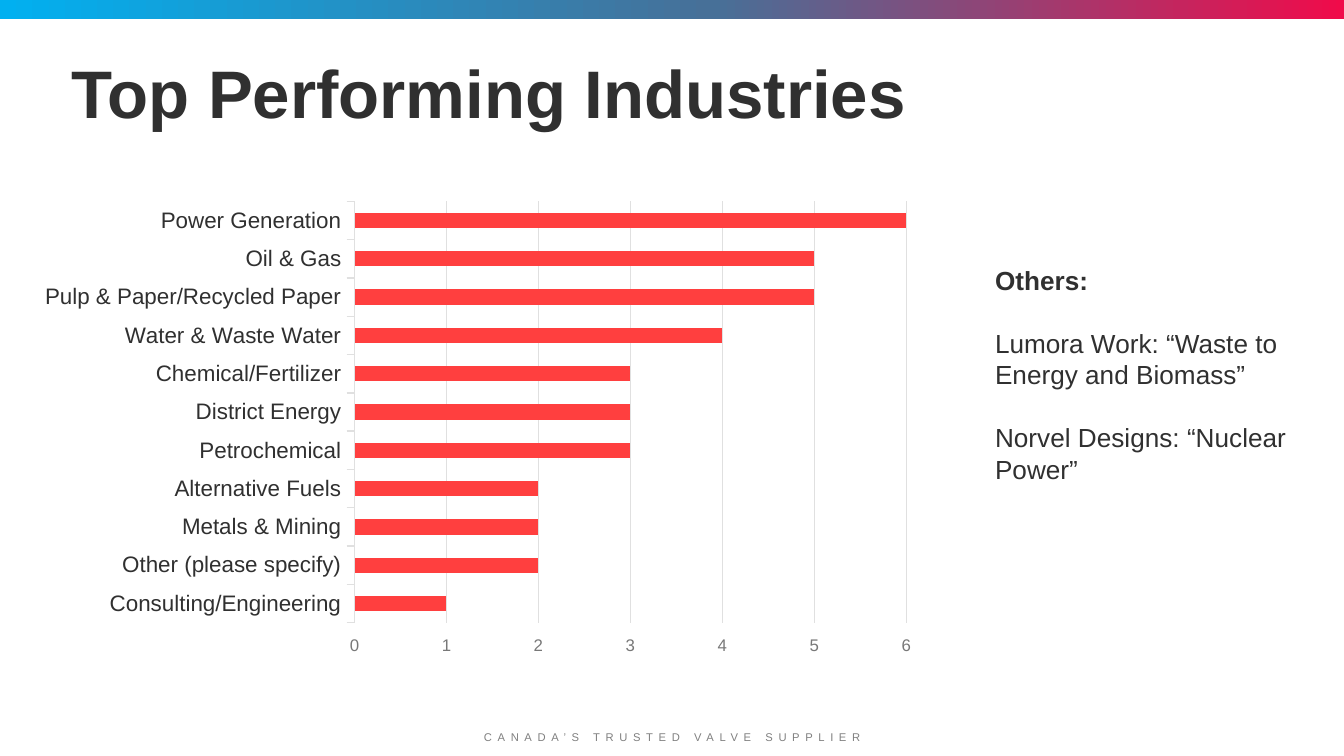
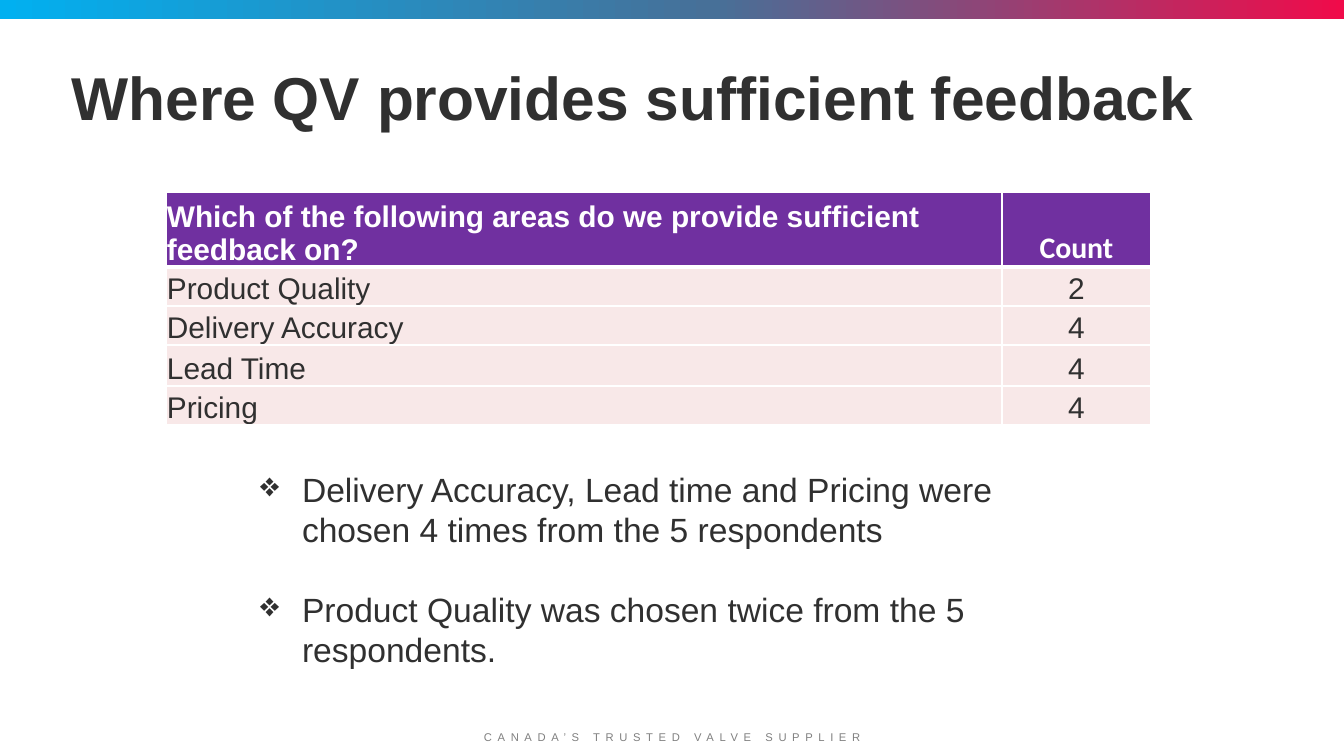
from dataclasses import dataclass

from lxml.etree import SubElement, Element
from pptx import Presentation
from pptx.chart.data import CategoryChartData
from pptx.dml.color import RGBColor
from pptx.enum.chart import XL_CHART_TYPE as ChartType, XL_TICK_MARK as TickMark
from pptx.enum.shapes import MSO_SHAPE as Preset
from pptx.enum.text import MSO_ANCHOR as Anchor, MSO_AUTO_SIZE as AutoSize, PP_ALIGN as Align
from pptx.oxml.ns import qn
from pptx.util import Emu, Pt


@dataclass(frozen=True)
class Theme:
    font: str = "Arial"
    count_font: str = "Calibri"
    ink: str = "303030"
    muted: str = "787878"
    footer_ink: str = "808080"
    white: str = "FFFFFF"
    grid: str = "E0E0E0"
    bar: str = "FF3F3F"
    header: str = "7030A0"
    row: str = "F8E8E8"
    band: tuple = ((0, "01B0F0"), (53, "477098"), (100, "F00B4A"))
    footer_size: float = 6
    axis_size: float = 9
    chart_size: float = 10
    category_size: float = 12
    note_size: float = 14
    table_size: float = 16
    bullet_size: float = 18
    title_size: float = 36
    long_title_size: float = 32.4


THEME = Theme()
EMU_PER_PX = 914400 / 134.4
WIDTH, HEIGHT = 1344, 756
FOOTER = "CANADA’S TRUSTED VALVE SUPPLIER"

INDUSTRIES = {
    "Consulting/Engineering": 1,
    "Other (please specify)": 2,
    "Metals & Mining": 2,
    "Alternative Fuels": 2,
    "Petrochemical": 3,
    "District Energy": 3,
    "Chemical/Fertilizer": 3,
    "Water & Waste Water": 4,
    "Pulp & Paper/Recycled Paper": 5,
    "Oil & Gas": 5,
    "Power Generation": 6,
}
FEEDBACK = [
    ("Which of the following areas do we provide sufficient feedback on?", "Count"),
    ("Product Quality", "2"),
    ("Delivery Accuracy", "4"),
    ("Lead Time", "4"),
    ("Pricing", "4"),
]


def px(length):
    return Emu(round(length * EMU_PER_PX))


def box(*lengths):
    return [px(length) for length in lengths]


def style_font(font, size, color=THEME.ink, bold=False, name=THEME.font):
    font.size, font.bold, font.name = Pt(size), bold, name
    font.color.rgb = RGBColor.from_string(color)


def style_line(line, color=THEME.grid, width=0.75):
    line.color.rgb = RGBColor.from_string(color)
    line.width = Pt(width)


# Shared slide parts
def add_band(slide):
    band = slide.shapes.add_shape(Preset.RECTANGLE, *box(0, 0, WIDTH, 19))
    band.shadow.inherit = False
    band.line.fill.background()
    band.fill.gradient()
    band.fill.gradient_angle = 0
    stops = next(band.element.iter(qn("a:gsLst")))
    for stop in list(stops):
        stops.remove(stop)
    for position, color in THEME.band:
        stop = SubElement(stops, qn("a:gs"), pos=str(position * 1000))
        SubElement(stop, qn("a:srgbClr"), val=color)


def add_text(slide, area, paragraphs, size, gap=0, insets=(13, 7, 13, 7), color=THEME.ink):
    """Add a text box; paragraphs are (text, bold) pairs."""
    shape = slide.shapes.add_textbox(*box(*area))
    frame = shape.text_frame
    frame.word_wrap = True
    frame.margin_left, frame.margin_top, frame.margin_right, frame.margin_bottom = box(*insets)
    for index, (text, bold) in enumerate(paragraphs):
        paragraph = frame.add_paragraph() if index else frame.paragraphs[0]
        paragraph.text = text
        if index:
            paragraph.space_before = Pt(gap)
        style_font(paragraph.font, size, color, bold)
    return shape


def add_footer(slide):
    footer = add_text(slide, (0, 722, WIDTH, 31), [(FOOTER, False)], THEME.footer_size,
                      insets=(13, 7, 13, 11), color=THEME.footer_ink)
    footer.text_frame.vertical_anchor = Anchor.BOTTOM
    footer.text_frame.paragraphs[0].alignment = Align.CENTER
    next(footer.element.iter(qn("a:defRPr"))).set("spc", "300")


def add_slide(presentation, title_text, title_size):
    slide = presentation.slides.add_slide(presentation.slide_layouts[5])
    add_footer(slide)
    add_band(slide)
    title = slide.shapes.title
    title.left, title.top, title.width, title.height = box(58, 40, 1216, 100)
    frame = title.text_frame
    frame.text = title_text
    frame.word_wrap = True
    frame.auto_size = AutoSize.NONE
    frame.vertical_anchor = Anchor.BOTTOM
    paragraph = frame.paragraphs[0]
    paragraph.alignment = Align.LEFT
    paragraph.line_spacing = 0.9
    style_font(paragraph.font, title_size, bold=True)
    return slide


# Content elements
def add_bar_chart(slide, area, values):
    data = CategoryChartData()
    data.categories = list(values)
    data.add_series("Series 1", list(values.values()))
    chart = slide.shapes.add_chart(ChartType.BAR_CLUSTERED, *box(*area), data).chart
    chart.has_legend = chart.has_title = False
    style_font(chart.font, THEME.chart_size)

    plot = chart.plots[0]
    plot.gap_width = 150
    plot.vary_by_categories = False
    fill = plot.series[0].format.fill
    fill.solid()
    fill.fore_color.rgb = RGBColor.from_string(THEME.bar)

    category_axis, value_axis = chart.category_axis, chart.value_axis
    for axis in (category_axis, value_axis):
        axis.major_tick_mark = TickMark.OUTSIDE
        axis.minor_tick_mark = TickMark.NONE
    style_font(category_axis.tick_labels.font, THEME.category_size)
    style_line(category_axis.format.line)
    style_font(value_axis.tick_labels.font, THEME.axis_size, THEME.muted)
    value_axis.format.line.fill.background()
    value_axis.minimum_scale, value_axis.maximum_scale = 0, max(values.values())
    value_axis.major_unit = 1
    value_axis.has_major_gridlines = True
    style_line(value_axis.major_gridlines.format.line)


def set_borders(cell, top=1, bottom=1):
    properties = cell._tc.get_or_add_tcPr()
    widths = {"a:lnL": 1, "a:lnR": 1, "a:lnT": top, "a:lnB": bottom}
    for index, (tag, width) in enumerate(widths.items()):
        line = Element(qn(tag), w=str(Pt(width)))
        SubElement(SubElement(line, qn("a:solidFill")), qn("a:srgbClr"), val=THEME.white)
        properties.insert(index, line)


def style_cell(cell, text, row, column):
    is_header = row == 0
    cell.text = text
    cell.vertical_anchor = Anchor.BOTTOM
    cell.margin_left = cell.margin_top = cell.margin_right = px(1)
    cell.margin_bottom = 0
    cell.fill.solid()
    cell.fill.fore_color.rgb = RGBColor.from_string(THEME.header if is_header else THEME.row)
    set_borders(cell, top=3 if row == 1 else 1, bottom=3 if is_header else 1)
    paragraph = cell.text_frame.paragraphs[0]
    paragraph.alignment = Align.CENTER if column else Align.LEFT
    style_font(paragraph.font, THEME.table_size, THEME.white if is_header else THEME.ink,
               is_header, THEME.count_font if is_header and column else THEME.font)


def add_table(slide, left, top, column_widths, row_heights, rows):
    area = box(left, top, sum(column_widths), sum(row_heights))
    table = slide.shapes.add_table(len(rows), len(column_widths), *area).table
    table.horz_banding = False
    for column, width in zip(table.columns, column_widths):
        column.width = px(width)
    for row, height in zip(table.rows, row_heights):
        row.height = px(height)
    for row, texts in enumerate(rows):
        for column, text in enumerate(texts):
            style_cell(table.cell(row, column), text, row, column)


def add_bullets(shape, indent):
    for paragraph in shape.text_frame.paragraphs:
        properties = paragraph._p.get_or_add_pPr()
        properties.set("marL", str(px(indent)))
        properties.set("indent", str(-px(indent)))
        bullet = Element(qn("a:buChar"), char="❖")
        properties.find(qn("a:defRPr")).addprevious(bullet)


# Slides
def build_industries(presentation):
    slide = add_slide(presentation, "Top Performing Industries", THEME.title_size)
    add_bar_chart(slide, (27, 192, 902, 473), INDUSTRIES)
    notes = [
        ("Others:", True),
        ("Lumora Work: “Waste to Energy and Biomass”", False),
        ("Norvel Designs: “Nuclear Power”", False),
    ]
    add_text(slide, (982, 163, 324, 361), notes, THEME.note_size, gap=17,
             insets=(13, 101, 13, 7))


def build_feedback(presentation):
    slide = add_slide(presentation, "Where QV provides sufficient feedback",
                      THEME.long_title_size)
    add_table(slide, 166, 192, (836, 149), (75, 39, 39, 41, 39), FEEDBACK)
    findings = [
        ("Delivery Accuracy, Lead time and Pricing were chosen 4 times from the 5 respondents",
         False),
        ("Product Quality was chosen twice from the 5 respondents.", False),
    ]
    shape = add_text(slide, (247, 462, 840, 218), findings, THEME.bullet_size, gap=21)
    add_bullets(shape, 42)


def main():
    presentation = Presentation()
    presentation.slide_width, presentation.slide_height = box(WIDTH, HEIGHT)
    build_industries(presentation)
    build_feedback(presentation)
    presentation.save("out.pptx")


if __name__ == "__main__":
    main()
